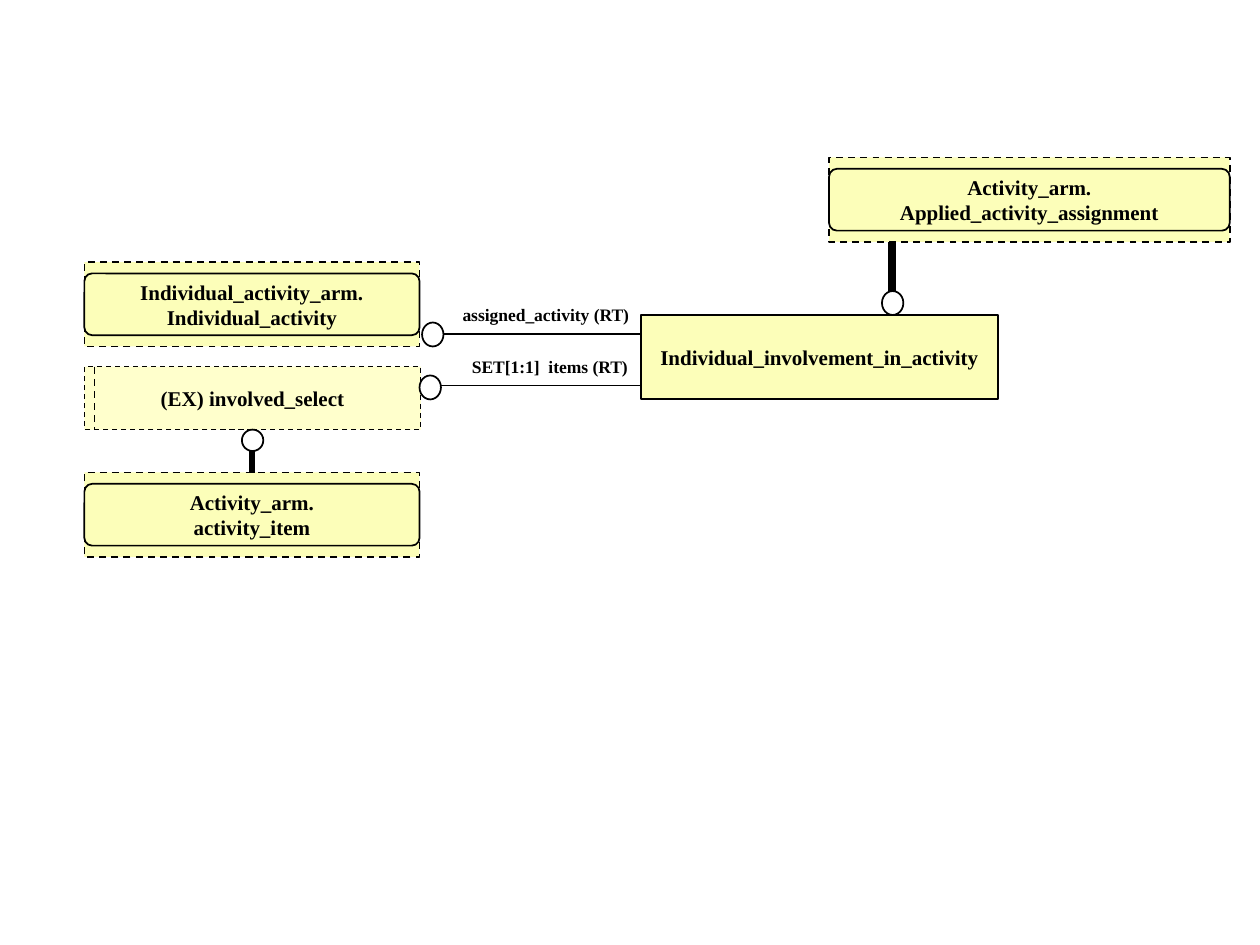
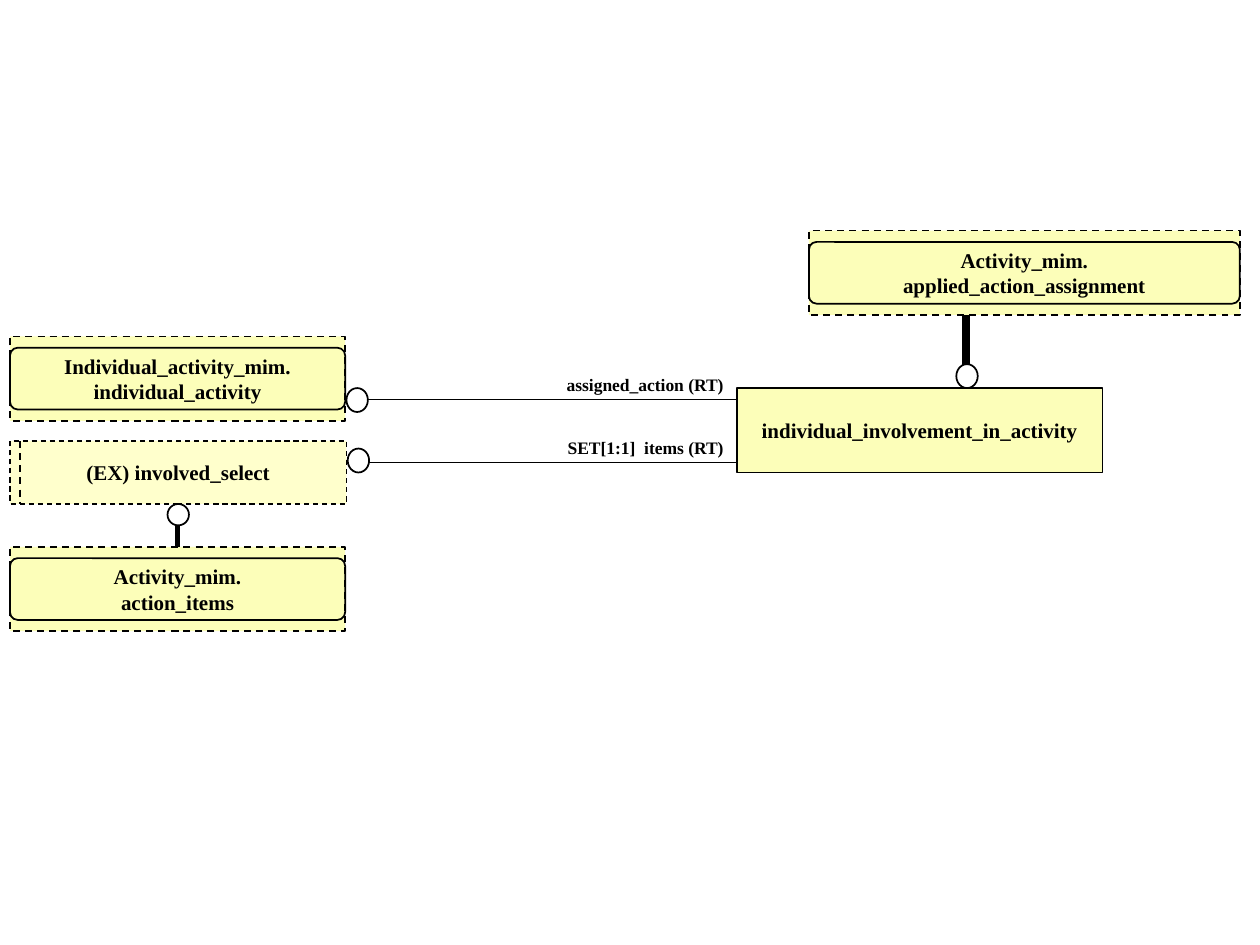
from lxml import etree
from pptx import Presentation
from pptx.dml.color import RGBColor
from pptx.enum import dml, shapes, text
from pptx.oxml import ns
from pptx.util import Inches, Pt

BOX_HEIGHT = 0.67
CIRCLE_WIDTH = 0.17


def color(value):
    """Turn a hex string into a colour."""
    return RGBColor.from_string(value)


def assign(target, values):
    """Set each named attribute on the target."""
    for name, value in values.items():
        setattr(target, name, value)


class Diagram:
    """Hold the shared style and the slide being drawn."""

    ink, entity_fill, select_fill, circle_fill = "000000", "FCFEB9", "FFFFCC", "FFFFFF"
    font = {"name": "Times New Roman", "bold": True}
    frame = {
        "margin_left": Inches(0.1), "margin_right": Inches(0.1),
        "margin_top": Inches(0.05), "margin_bottom": Inches(0.05),
    }

    def __init__(self, presentation):
        """Start with a presentation and no slide."""
        self.presentation = presentation
        self.slide = None

    def new_slide(self):
        """Add a blank slide and make it current."""
        self.slide = self.presentation.slides.add_slide(self.presentation.slide_layouts[6])

    def outline(self, line, width, dashed=False):
        """Format an outline or a connector line."""
        line.color.rgb = color(self.ink)
        line.width = Pt(width)
        if dashed:
            line.dash_style = dml.MSO_LINE.DASH

    def fill_text(self, shape, lines, size, alignment, anchor, wrap):
        """Put one paragraph per line of text into a shape."""
        frame = shape.text_frame
        assign(frame, {**self.frame, "word_wrap": wrap, "vertical_anchor": anchor})
        frame.text = "\n".join(lines)
        for paragraph in frame.paragraphs:
            paragraph.alignment = alignment
            assign(paragraph.font, {**self.font, "size": Pt(size)})
            paragraph.font.color.rgb = color(self.ink)

    def shape(self, kind, box, fill=None, lines=(), width=1, dashed=False, parent=None):
        """Add a preset shape with optional centred text."""
        shape = (parent or self.slide).shapes.add_shape(kind, *map(Inches, box))
        shape.shadow.inherit = False
        if fill:
            shape.fill.solid()
            shape.fill.fore_color.rgb = color(fill)
        else:
            shape.fill.background()
        self.outline(shape.line, width, dashed)
        if lines:
            self.fill_text(shape, lines, 12, text.PP_ALIGN.CENTER, text.MSO_ANCHOR.MIDDLE, False)
        return shape

    def line(self, start, end, width=1, dashed=False):
        """Add a straight connector."""
        connector = self.slide.shapes.add_connector(
            shapes.MSO_CONNECTOR.STRAIGHT, *map(Inches, (*start, *end)))
        self.outline(connector.line, width, dashed)
        etree.SubElement(connector._element.spPr, ns.qn("a:effectLst"))

    def circle(self, left, top, height=0.19):
        """Add the open circle that ends a relation."""
        self.shape(shapes.MSO_SHAPE.OVAL, (left, top, CIRCLE_WIDTH, height), self.circle_fill)

    def label(self, caption, right, top):
        """Add a right-aligned relation label."""
        width = 2.47
        label = self.slide.shapes.add_textbox(
            *map(Inches, (right - width, top, width, 0.27)))
        self.fill_text(label, [caption], 10, text.PP_ALIGN.RIGHT, text.MSO_ANCHOR.TOP, True)

    def entity(self, name, left, top, width):
        """Add a solid entity box."""
        self.shape(shapes.MSO_SHAPE.RECTANGLE, (left, top, width, BOX_HEIGHT),
                   self.entity_fill, [name])

    def reference(self, lines, left, top, width=2.66):
        """Add a dashed box around a rounded one for an entity of another schema."""
        group = self.slide.shapes.add_group_shape()
        self.shape(shapes.MSO_SHAPE.RECTANGLE, (left, top, width, BOX_HEIGHT),
                   self.entity_fill, lines, dashed=True, parent=group)
        rounded = self.shape(shapes.MSO_SHAPE.ROUNDED_RECTANGLE,
                             (left, top + 0.09, width, 0.49), parent=group)
        rounded.adjustments[0] = 0.125

    def select(self, name, left, top):
        """Add a dashed select type with its left bar."""
        height, bar = 0.5, left + 0.08
        self.shape(shapes.MSO_SHAPE.RECTANGLE, (left, top, 2.67, height),
                   self.select_fill, [name], width=0.75, dashed=True)
        self.line((bar, top), (bar, top + height), dashed=True)

    def relation(self, caption, y, circle, label_top, right):
        """Add a labelled line from an entity to a circle."""
        self.line((circle[0] + CIRCLE_WIDTH, y), (right, y))
        self.label(caption, right, label_top)
        self.circle(*circle)

    def supertype(self, lines, left, top, width, line_x):
        """Add a supertype reference with a thick line down to its subtype."""
        bottom = top + BOX_HEIGHT
        self.reference(lines, left, top, width)
        self.line((line_x, bottom), (line_x, bottom + 0.41), 4.5)
        self.circle(line_x - 0.08, bottom + 0.39)

    def left_column(self, activity, item, left, top):
        """Add the activity, the select type and the item that extends it."""
        select_top, item_top, line_x = top + 0.83, top + 1.67, left + 1.33
        self.reference(activity, left, top)
        self.select("(EX) involved_select", left, select_top)
        self.reference(item, left, item_top)
        self.line((line_x, item_top), (line_x, item_top - 0.17), 3)
        self.circle(line_x - 0.08, select_top + 0.5, CIRCLE_WIDTH)


MODELS = [
    {
        "entity": ("Individual_involvement_in_activity", 5.09, 2.5, 2.83),
        "supertype": (["Activity_arm.", "Applied_activity_assignment"], 6.58, 1.25, 3.18, 7.08),
        "column": (["Individual_activity_arm.", "Individual_activity"],
                   ["Activity_arm.", "activity_item"], 0.67, 2.08),
        "relations": [("assigned_activity (RT)", 2.65, (3.35, 2.56), 2.36, 5.09),
                      ("SET[1:1]  items (RT)", 3.06, (3.33, 2.98), 2.78, 5.08)],
    },
    {
        "entity": ("individual_involvement_in_activity", 5.85, 3.08, 2.9),
        "supertype": (["Activity_mim.", "applied_action_assignment"], 6.42, 1.83, 3.42, 7.67),
        "column": (["Individual_activity_mim.", "individual_activity"],
                   ["Activity_mim.", "action_items"], 0.08, 2.67),
        "relations": [("assigned_action (RT)", 3.17, (2.75, 3.08), 2.92, 5.84),
                      ("SET[1:1]  items (RT)", 3.67, (2.76, 3.56), 3.42, 5.84)],
    },
]


def main():
    """Draw one slide per model and save the file."""
    presentation = Presentation()
    assign(presentation, {"slide_width": Inches(10), "slide_height": Inches(7.5)})
    diagram = Diagram(presentation)
    for model in MODELS:
        diagram.new_slide()
        diagram.entity(*model["entity"])
        diagram.supertype(*model["supertype"])
        diagram.left_column(*model["column"])
        for relation in model["relations"]:
            diagram.relation(*relation)
    presentation.save("out.pptx")


if __name__ == "__main__":
    main()
